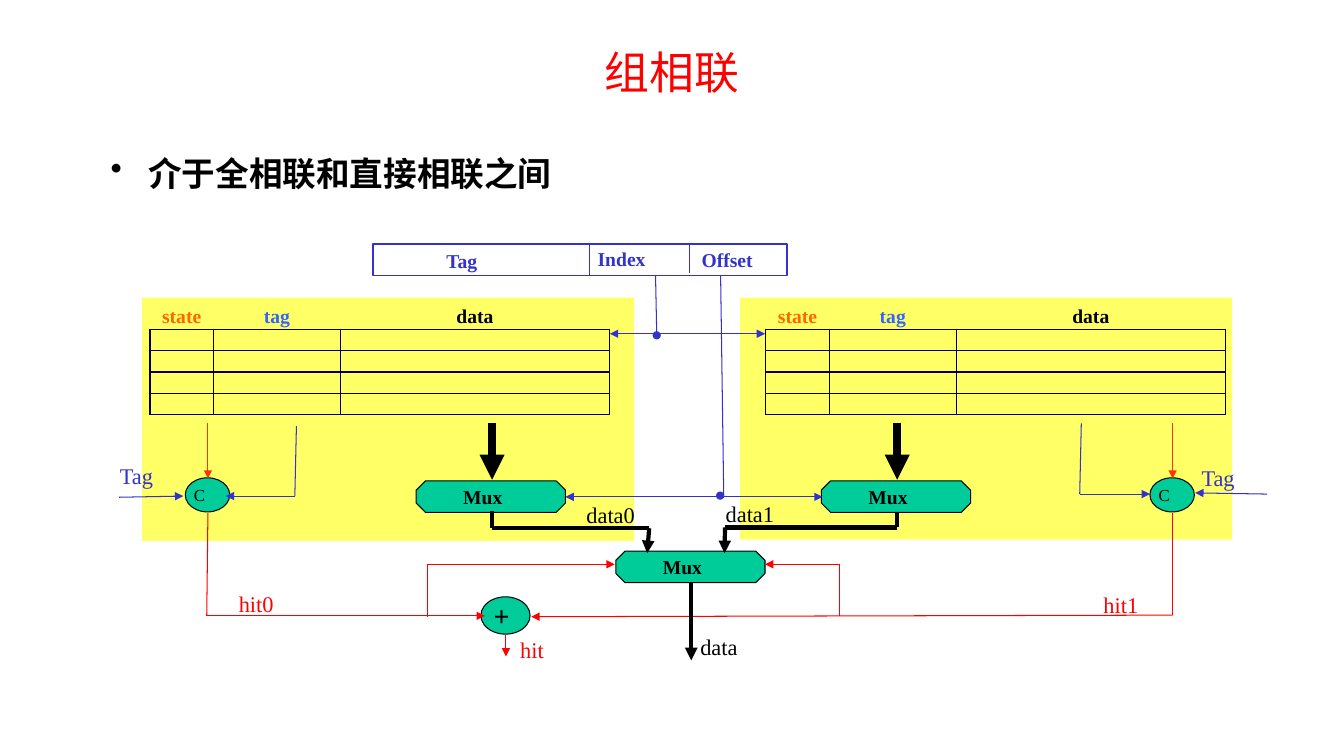
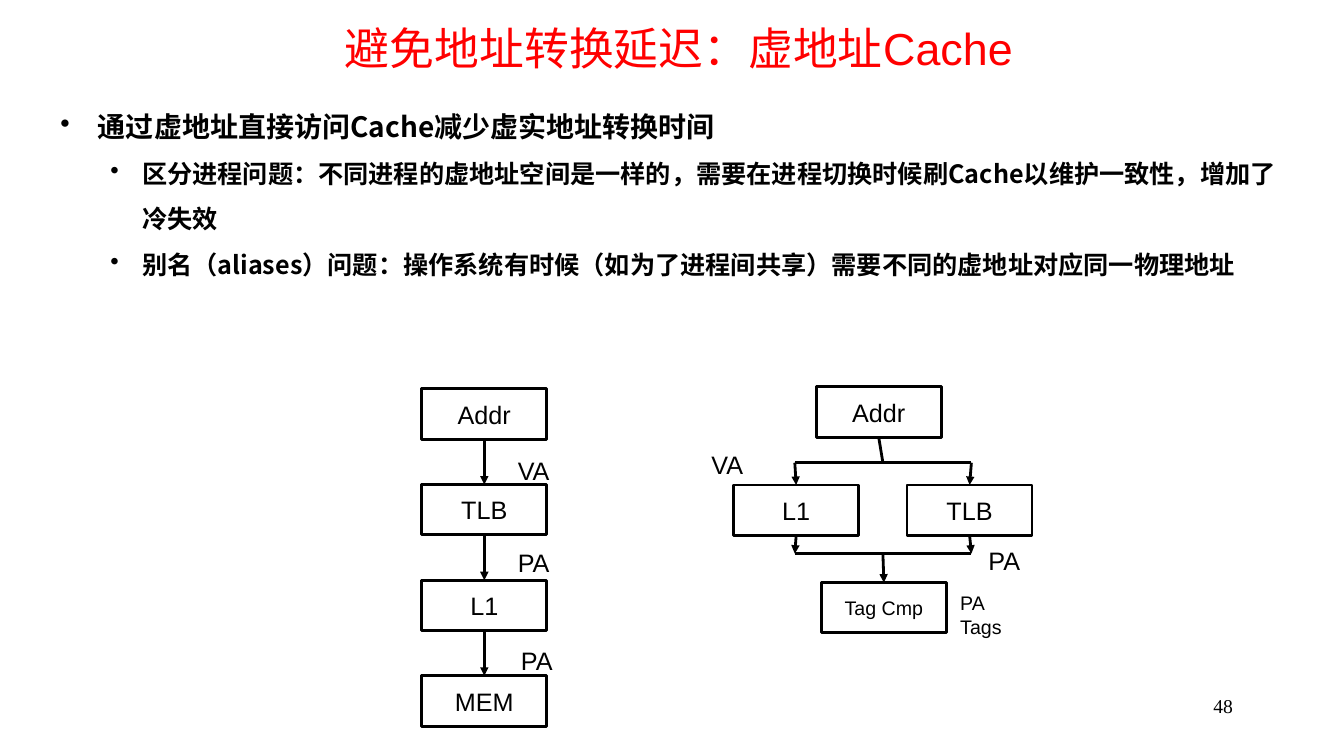
"""Build two slides on set-associative and virtually addressed caches."""
from lxml.etree import SubElement
from pptx import Presentation
from pptx.dml.color import RGBColor
from pptx.enum.shapes import MSO_CONNECTOR, MSO_SHAPE
from pptx.enum.text import MSO_ANCHOR, PP_ALIGN
from pptx.oxml.ns import qn
from pptx.util import Cm, Pt

STRAIGHT = MSO_CONNECTOR.STRAIGHT
RECT, OVAL, OCTAGON = MSO_SHAPE.RECTANGLE, MSO_SHAPE.OVAL, MSO_SHAPE.OCTAGON
LEFT, CENTER, RIGHT = PP_ALIGN.LEFT, PP_ALIGN.CENTER, PP_ALIGN.RIGHT
TOP, MIDDLE = MSO_ANCHOR.TOP, MSO_ANCHOR.MIDDLE

BLACK = RGBColor(0x00, 0x00, 0x00)
WHITE = RGBColor(0xFF, 0xFF, 0xFF)
RED = RGBColor(0xFF, 0x00, 0x00)
SIGNAL = RGBColor(0xFF, 0x33, 0x00)
ORANGE = RGBColor(0xFF, 0x66, 0x00)
BLUE = RGBColor(0x33, 0x33, 0xCC)
SKY = RGBColor(0x33, 0x66, 0xFF)
GREEN = RGBColor(0x00, 0xCC, 0x99)
YELLOW = RGBColor(0xFF, 0xFF, 0x66)
GRID = "080000"

CJK, SANS, SERIF = "Noto Sans CJK SC", "Arial", "Times New Roman"
NO_STYLE = "{2D5ABB26-0587-4C30-8999-92F81FD0307C}"
TITLE = {"name": SANS, "size": Pt(32)}
FIELD = {"name": SERIF, "size": Pt(14), "bold": True}
WIRE = {"name": SERIF, "size": Pt(16)}
COMPARE = {"name": SERIF, "size": Pt(12)}
PLUS = {"name": SERIF, "size": Pt(20), "bold": True}
NUMBER = {"name": SERIF, "size": Pt(14)}
NODE = {"name": SANS, "size": Pt(18)}
SMALL = {"name": SANS, "size": Pt(14)}
DEFAULT_INSETS = (0.25, 0.13, 0.25, 0.13)
TIGHT = (0.05, 0.03, 0.05, 0.03)
LEVELS = ((0.95, 0.95), (2.06, 0.8))

SET_TITLE = ("组相联", (2.54, 0.71, 28.78, 2.18))
SET_BULLETS = [("介于全相联和直接相联之间", 0, SERIF, 24, 44)]
SET_BODY = (2.54, 3.18, 28.78, 2.6)
PANELS = [(18.65, 7.5, 12.4, 6.1), (3.58, 7.5, 12.4, 6.13)]
ADDRESS = (9.4, 6.15, 10.44, 0.79)
COLUMNS = [("state", ORANGE, 1.6), ("tag", SKY, 3.2), ("data", BLACK, 6.78)]
TABLES = [(3.78, 7.7), (19.3, 7.7)]
ROWS, ROW_HEIGHT = 5, 0.54
UNITS = [
    (OVAL, "C", COMPARE, 0.4, (4.67, 12.04, 1.12, 0.86)),
    (OVAL, "C", COMPARE, 0.4, (28.98, 12.04, 1.12, 0.86)),
    (OVAL, "+", PLUS, 0.2, (12.12, 15.04, 1.24, 0.94)),
    (OCTAGON, "Mux", FIELD, 0.4, (10.49, 12.12, 3.76, 0.79)),
    (OCTAGON, "Mux", FIELD, 0.4, (20.7, 12.12, 3.76, 0.79)),
    (OCTAGON, "Mux", FIELD, 0.4, (15.52, 13.89, 3.76, 0.79)),
]
DOTS = [(16.46, 8.36), (18.06, 12.4)]
DOT_SIZE = 0.18
WIRES = [
    (BLUE, 0.75, "", [(14.86, 6.15), (14.86, 6.93)]),
    (BLUE, 0.75, "", [(17.37, 6.17), (17.37, 6.88)]),
    (BLUE, 0.75, "", [(16.52, 6.93), (16.55, 8.41)]),
    (BLUE, 0.75, "", [(18.16, 6.93), (18.24, 12.52)]),
    (BLUE, 0.75, "both", [(15.37, 8.41), (19.28, 8.41)]),
    (BLUE, 0.75, "both", [(14.25, 12.52), (20.73, 12.52)]),
    (BLUE, 0.75, "end", [(7.47, 10.74), (7.43, 12.5), (5.69, 12.5)]),
    (BLUE, 0.75, "end", [(27.25, 10.67), (27.21, 12.45), (28.98, 12.45)]),
    (BLUE, 0.75, "end", [(3, 12.53), (4.62, 12.5)]),
    (BLUE, 0.75, "end", [(31.93, 12.45), (30.12, 12.42)]),
    (SIGNAL, 0.75, "end", [(5.24, 10.67), (5.24, 12.06)]),
    (SIGNAL, 0.75, "end", [(29.55, 10.67), (29.55, 12.06)]),
    (RED, 0.75, "end", [(5.24, 12.93), (5.21, 15.52), (12.22, 15.52)]),
    (RED, 0.75, "end", [(29.55, 12.93), (29.55, 15.5), (13.39, 15.54)]),
    (RED, 0.75, "end", [(10.78, 15.54), (10.78, 14.22), (15.49, 14.22)]),
    (RED, 0.75, "end", [(21.15, 15.52), (21.15, 14.22), (19.28, 14.22)]),
    (RED, 0.75, "end", [(12.75, 16), (12.75, 16.54)]),
    (BLACK, 6, "end", [(12.4, 10.67), (12.4, 12.09)]),
    (BLACK, 6, "end", [(22.61, 10.65), (22.61, 12.09)]),
    (BLACK, 3, "end",
     [(12.4, 12.88), (12.4, 13.31), (16.36, 13.31), (16.31, 13.94)]),
    (BLACK, 3, "end",
     [(22.61, 12.9), (22.61, 13.29), (18.27, 13.29), (18.26, 13.94)]),
    (BLACK, 3, "end", [(17.42, 14.68), (17.42, 16.64)]),
]
SET_LABELS = [
    ("Tag", FIELD, BLUE, (11.2, 6.25, 2.57, 0.66)),
    ("Index", FIELD, BLUE, (15.01, 6.2, 2.57, 0.66)),
    ("Offset", FIELD, BLUE, (17.63, 6.22, 2.57, 0.66)),
    ("Tag", WIRE, BLUE, (2.97, 11.61, 2.34, 0.74)),
    ("Tag", WIRE, BLUE, (30.23, 11.66, 2.34, 0.74)),
    ("hit", WIRE, RED, (13.06, 16, 1.63, 0.74)),
    ("hit0", WIRE, RED, (5.97, 14.83, 1.63, 0.74)),
    ("hit1", WIRE, RED, (27.76, 14.86, 1.63, 0.74)),
    ("data", WIRE, BLACK, (17.6, 15.93, 1.63, 0.74)),
    ("data0", WIRE, BLACK, (14.73, 12.6, 1.8, 0.74)),
    ("data1", WIRE, BLACK, (18.24, 12.57, 1.8, 0.74)),
]

VIRTUAL_TITLE = ("避免地址转换延迟：虚地址Cache", (2.72, 0, 28.78, 2.41))
VIRTUAL_BULLETS = [
    ("通过虚地址直接访问Cache减少虚实地址转换时间", 0, CJK, 20, 37),
    ("区分进程问题：不同进程的虚地址空间是一样的，需要在进程切换时候刷Cache"
     "以维护一致性，增加了冷失效", 1, CJK, 18, 32.4),
    ("别名（aliases）问题：操作系统有时候（如为了进程间共享）需要不同的虚地址"
     "对应同一物理地址", 1, CJK, 18, 32.4),
]
VIRTUAL_BODY = (1.27, 2.18, 31.52, 7.6)
PAGE = ("48", (24.26, 17.35, 7.06, 1.27))
CHAIN = ["Addr", "TLB", "L1", "MEM"]
CHAIN_X, CHAIN_Y, CHAIN_PITCH = 10.63, 9.8, 2.41
NODE_SIZE = (3.15, 1.27)
PARALLEL = [
    ("Addr", NODE, 20.57, 9.75),
    ("L1", NODE, 18.49, 12.22),
    ("TLB", NODE, 22.86, 12.22),
    ("Tag Cmp", SMALL, 20.7, 14.68),
]
SPLIT_Y, MERGE_Y = 11.66, 13.95
BUS_LEFT, BUS_RIGHT = 20.03, 24.48
PARALLEL_LINKS = [
    ("Addr", (22.25, SPLIT_Y), ""),
    ((BUS_LEFT, SPLIT_Y), (BUS_RIGHT, SPLIT_Y), ""),
    ((BUS_LEFT, SPLIT_Y), "L1", "end"),
    ((BUS_RIGHT, SPLIT_Y), "TLB", "end"),
    ("L1", (BUS_LEFT, MERGE_Y), "end"),
    ("TLB", (BUS_RIGHT, MERGE_Y), "end"),
    ((BUS_LEFT, MERGE_Y), (BUS_RIGHT, MERGE_Y), ""),
    ((22.25, MERGE_Y), "Tag Cmp", "end"),
]
VIRTUAL_LABELS = [
    ("VA", NODE, (12.8, 11.35, 1.32, 1.02)),
    ("PA", NODE, (12.8, 13.67, 1.32, 1.02)),
    ("PA", NODE, (12.88, 16.13, 1.32, 1.02)),
    ("VA", NODE, (17.68, 11.2, 1.32, 1.02)),
    ("PA", NODE, (24.66, 13.61, 1.32, 1.02)),
    ("PA\nTags", SMALL, (23.95, 14.76, 1.55, 1.45)),
]


def cm(values):
    return [Cm(v) for v in values]


def add_text(p, text, fmt, color):
    r = p.add_run()
    r.text = text
    for name, value in fmt.items():
        setattr(r.font, name, value)
    r.font.color.rgb = color
    SubElement(r.font._element, qn("a:ea"), typeface=CJK)


def write(sp, text, fmt, color=BLACK, align=LEFT, anchor=TOP,
          insets=DEFAULT_INSETS, wrap=True):
    tf = sp.text_frame
    tf.word_wrap = wrap
    tf.vertical_anchor = anchor
    for side, inset in zip(("left", "top", "right", "bottom"), insets):
        setattr(tf, f"margin_{side}", Cm(inset))
    for i, line in enumerate(text.split("\n")):
        p = tf.add_paragraph() if i else tf.paragraphs[0]
        p.alignment = align
        add_text(p, line, fmt, color)


def add_label(s, text, box, fmt, **options):
    write(s.shapes.add_textbox(*cm(box)), text, fmt, **options)


def add_box(s, kind, box, fill=None, line=None, width=0.75):
    sp = s.shapes.add_shape(kind, *cm(box))
    sp.shadow.inherit = False
    for part, color in ((sp.fill, fill), (sp.line.fill, line)):
        if color is None:
            part.background()
        else:
            part.solid()
            part.fore_color.rgb = color
    if line is not None:
        sp.line.width = Pt(width)
    return sp


def add_line(s, start, end, color, width, heads=""):
    c = s.shapes.add_connector(STRAIGHT, *cm((*start, *end)))
    c.line.color.rgb = color
    c.line.width = Pt(width)
    sp_pr = c._element.spPr
    ln = sp_pr.find(qn("a:ln"))
    if heads == "both":
        SubElement(ln, qn("a:headEnd"), type="triangle")
    if heads:
        SubElement(ln, qn("a:tailEnd"), type="triangle")
    SubElement(sp_pr, qn("a:effectLst"))
    return c


def add_slide(prs, title, bullets, body):
    s = prs.slides.add_slide(prs.slide_layouts[6])
    add_label(s, *title, TITLE, color=RED, align=CENTER, anchor=MIDDLE)
    tf = s.shapes.add_textbox(*cm(body)).text_frame
    tf.word_wrap = True
    for i, (text, level, font, size, pitch) in enumerate(bullets):
        p = tf.add_paragraph() if i else tf.paragraphs[0]
        p.level = level
        p.line_spacing = Pt(pitch)
        left, hang = LEVELS[level]
        p_pr = p._p.get_or_add_pPr()
        p_pr.set("marL", str(Cm(left)))
        p_pr.set("indent", str(-Cm(hang)))
        SubElement(p_pr, qn("a:buChar"), char="•")
        add_text(p, text, {"name": font, "size": Pt(size), "bold": True}, BLACK)
    return s


def add_borders(cell, sides):
    for side in sides:
        ln = SubElement(cell._tc.get_or_add_tcPr(), qn(f"a:ln{side}"),
                        w=str(Pt(1)))
        SubElement(SubElement(ln, qn("a:solidFill")), qn("a:srgbClr"), val=GRID)
    cell.fill.background()


def add_cache_table(s, x, y):
    width = sum(w for _, _, w in COLUMNS)
    frame = s.shapes.add_table(ROWS, len(COLUMNS),
                               *cm((x, y, width, ROWS * ROW_HEIGHT)))
    table = frame.table
    table.first_row = table.horz_banding = False
    table._tbl.tblPr.find(qn("a:tableStyleId")).text = NO_STYLE
    for row in table.rows:
        row.height = Cm(ROW_HEIGHT)
    for col, (name, color, col_width) in enumerate(COLUMNS):
        table.columns[col].width = Cm(col_width)
        for row in range(ROWS):
            cell = table.cell(row, col)
            cell.margin_left = cell.margin_right = Cm(0.08)
            cell.margin_top = cell.margin_bottom = 0
            add_borders(cell, "LRTB" if row else "B")
            p = cell.text_frame.paragraphs[0]
            if row:
                SubElement(p._p, qn("a:endParaRPr"), sz="1000")
            else:
                p.alignment = CENTER
                add_text(p, name, FIELD, color)


def add_node(s, text, fmt, x, y):
    sp = add_box(s, RECT, (x, y, *NODE_SIZE), WHITE, BLACK, 2)
    write(sp, text, fmt, align=CENTER, anchor=MIDDLE, wrap=False)
    return sp


def add_link(s, nodes, start, end, heads):
    points = [(0, 0) if isinstance(e, str) else e for e in (start, end)]
    c = add_line(s, *points, BLACK, 2, heads)
    if isinstance(start, str):
        c.begin_connect(nodes[start], 2)
    if isinstance(end, str):
        c.end_connect(nodes[end], 0)


def build_set_associative(prs):
    s = add_slide(prs, SET_TITLE, SET_BULLETS, SET_BODY)
    for panel in PANELS:
        add_box(s, RECT, panel, YELLOW)
    add_box(s, RECT, ADDRESS, line=BLUE, width=1)
    for kind, text, fmt, inset, box in UNITS:
        sp = add_box(s, kind, box, GREEN, BLACK)
        write(sp, text, fmt, align=CENTER, anchor=MIDDLE,
              insets=(0, 0, inset, 0), wrap=False)
    for color, width, heads, points in WIRES:
        last = len(points) - 2
        for i, ends in enumerate(zip(points, points[1:])):
            add_line(s, *ends, color, width, heads if i == last else "")
    for dot in DOTS:
        add_box(s, OVAL, (*dot, DOT_SIZE, DOT_SIZE), BLUE, BLUE)
    for text, fmt, color, box in SET_LABELS:
        add_label(s, text, box, fmt, color=color, insets=TIGHT)
    for corner in TABLES:
        add_cache_table(s, *corner)


def build_virtual_cache(prs):
    s = add_slide(prs, VIRTUAL_TITLE, VIRTUAL_BULLETS, VIRTUAL_BODY)
    add_label(s, *PAGE, NUMBER, align=RIGHT)
    chain = {name: add_node(s, name, NODE, CHAIN_X, CHAIN_Y + i * CHAIN_PITCH)
             for i, name in enumerate(CHAIN)}
    for start, end in zip(CHAIN, CHAIN[1:]):
        add_link(s, chain, start, end, "end")
    parallel = {node[0]: add_node(s, *node) for node in PARALLEL}
    for link in PARALLEL_LINKS:
        add_link(s, parallel, *link)
    for text, fmt, box in VIRTUAL_LABELS:
        add_label(s, text, box, fmt, wrap=False)


def main():
    prs = Presentation()
    prs.slide_width, prs.slide_height = Cm(33.87), Cm(19.05)
    build_set_associative(prs)
    build_virtual_cache(prs)
    prs.save("out.pptx")


if __name__ == "__main__":
    main()
